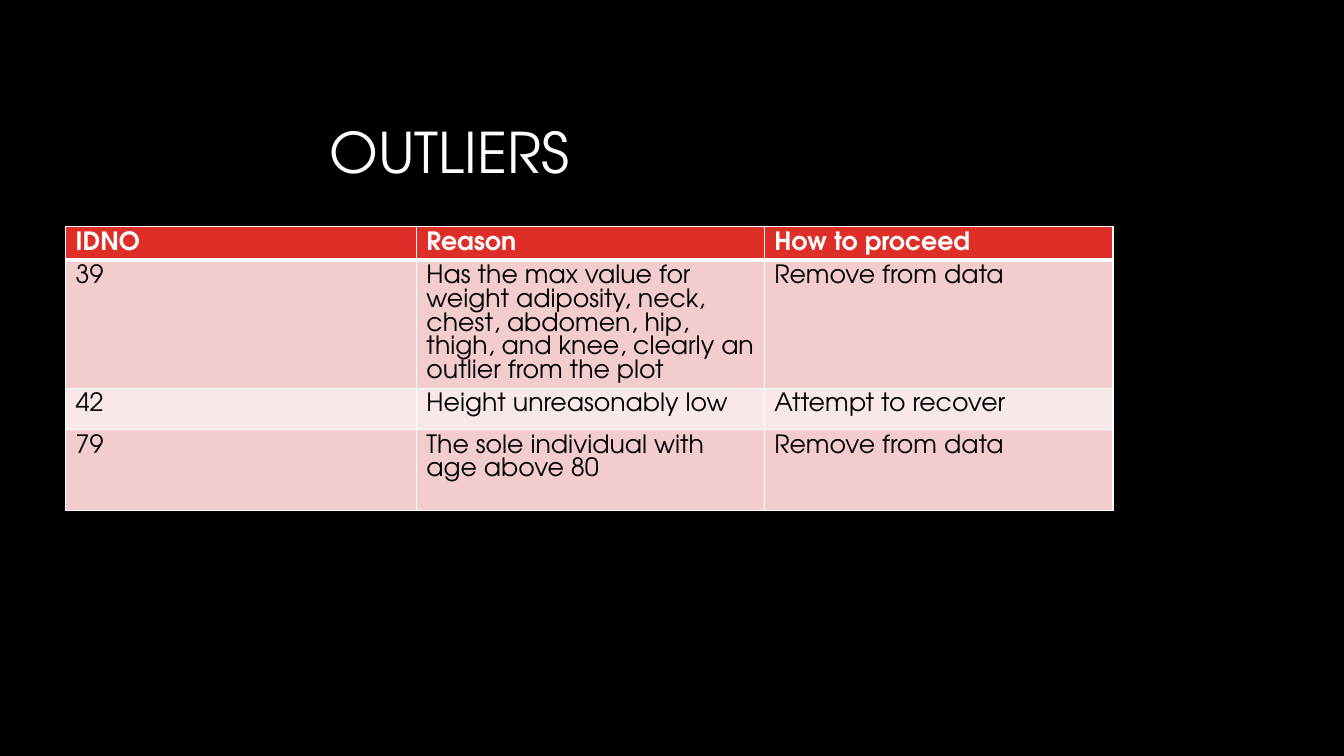
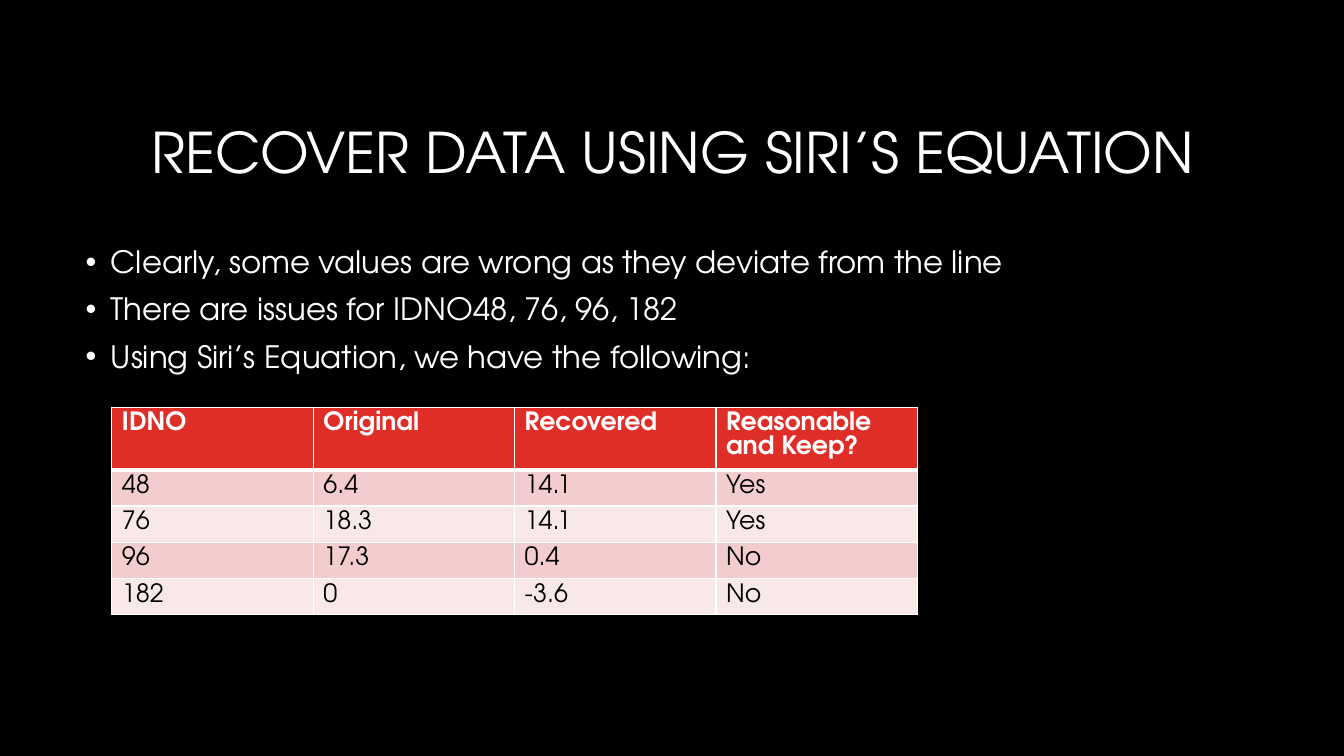
from lxml.etree import SubElement
from pptx import Presentation
from pptx.dml.color import RGBColor
from pptx.enum.text import MSO_ANCHOR, MSO_AUTO_SIZE, PP_ALIGN
from pptx.oxml.ns import qn
from pptx.util import Inches, Pt

COLORS = {
    "background": "000000",
    "text": "FFFFFF",
    "header": "DF2E28",
    "odd_row": "F3CDCD",
    "even_row": "F9E8E8",
    "cell_text": "000000",
    "border": "FFFFFF",
}
FONT = "TeX Gyre Adventor"
TITLE_ONLY, TITLE_AND_CONTENT = 5, 1


def color(name):
    return RGBColor.from_string(COLORS[name])


class Deck:
    def __init__(self):
        self.presentation = Presentation()
        self.presentation.slide_width = Inches(13.33)
        self.presentation.slide_height = Inches(7.5)
        fill = self.presentation.slide_master.background.fill
        fill.solid()
        fill.fore_color.rgb = color("background")
        self.page = None

    def add_page(self, layout):
        layouts = self.presentation.slide_layouts
        self.page = self.presentation.slides.add_slide(layouts[layout])

    def style(self, para, size, color_name, spacing, bold=False):
        para.line_spacing = spacing
        para.font.name = FONT
        para.font.size = Pt(size)
        para.font.bold = bold
        para.font.color.rgb = color(color_name)

    def place(self, box, left, top, width, height):
        box.left, box.top = Inches(left), Inches(top)
        box.width, box.height = Inches(width), Inches(height)
        box.text_frame.word_wrap = True
        box.text_frame.auto_size = MSO_AUTO_SIZE.NONE

    def title(self, text, left, width, align=PP_ALIGN.LEFT):
        box = self.page.shapes.title
        self.place(box, left, 0.84, width, 1.41)
        box.text_frame.vertical_anchor = MSO_ANCHOR.MIDDLE
        box.text_frame.text = text
        para = box.text_frame.paragraphs[0]
        para.alignment = align
        self.style(para, 40, "text", 0.9)

    def bullets(self, lines):
        box = self.page.placeholders[1]
        self.place(box, 0.75, 2.4, 11.83, 4.4)
        box.text_frame.text = "\n".join(lines)
        for para in box.text_frame.paragraphs:
            self.style(para, 22, "text", 0.9)
            para.space_before = Pt(10)
            properties = para._p.get_or_add_pPr()
            properties.set("marL", str(Inches(0.25)))
            properties.set("indent", str(Inches(-0.25)))

    def borders(self, cell, top, bottom):
        """Draw the four cell borders; top and bottom widths are in points."""
        properties = cell._tc.get_or_add_tcPr()
        sides = (("lnL", 1), ("lnR", 1), ("lnT", top), ("lnB", bottom))
        for position, (side, width) in enumerate(sides):
            line = SubElement(properties, qn(f"a:{side}"), w=str(Pt(width)))
            fill = SubElement(line, qn("a:solidFill"))
            SubElement(fill, qn("a:srgbClr"), val=COLORS["border"])
            properties.insert(position, line)

    def table(self, left, top, widths, heights, rows):
        frame = self.page.shapes.add_table(
            len(rows), len(widths), Inches(left), Inches(top),
            Inches(sum(widths)), Inches(sum(heights)))
        table = frame.table
        for column, width in zip(table.columns, widths):
            column.width = Inches(width)
        for index, (row, height, texts) in enumerate(zip(table.rows, heights, rows)):
            row.height = Inches(height)
            is_header = index == 0
            band = "header" if is_header else ("even_row", "odd_row")[index % 2]
            for cell, text in zip(row.cells, texts):
                cell.text = text
                cell.fill.solid()
                cell.fill.fore_color.rgb = color(band)
                self.style(cell.text_frame.paragraphs[0], 18,
                           "text" if is_header else "cell_text", 1.0, is_header)
                self.borders(cell, top=3 if index == 1 else 1,
                             bottom=3 if is_header else 1)


def outliers_page(deck):
    deck.add_page(TITLE_ONLY)
    deck.title("OUTLIERS", 3.17, 9.42)
    deck.table(0.65, 2.25, [3.48, 3.45, 3.46], [0.33, 1.27, 0.41, 0.8], [
        ("IDNO", "Reason", "How to proceed"),
        ("39", "Has the max value for weight adiposity, neck, chest, abdomen, "
               "hip, thigh, and knee, clearly an outlier from the plot",
         "Remove from data"),
        ("42", "Height unreasonably low", "Attempt to recover"),
        ("79", "The sole individual with age above 80", "Remove from data"),
    ])


def recovery_page(deck):
    deck.add_page(TITLE_AND_CONTENT)
    deck.title("RECOVER DATA USING SIRI’S EQUATION", 0.84, 11.67, PP_ALIGN.CENTER)
    deck.bullets([
        "Clearly, some values are wrong as they deviate from the line",
        "There are issues for IDNO48, 76, 96, 182",
        "Using Siri’s Equation, we have the following:",
    ])
    deck.table(1.11, 4.04, [7.99 / 4] * 4, [0.62] + [0.36] * 4, [
        ("IDNO", "Original", "Recovered", "Reasonable and Keep?"),
        ("48", "6.4", "14.1", "Yes"),
        ("76", "18.3", "14.1", "Yes"),
        ("96", "17.3", "0.4", "No"),
        ("182", "0", "-3.6", "No"),
    ])


def main():
    deck = Deck()
    outliers_page(deck)
    recovery_page(deck)
    deck.presentation.save("out.pptx")


if __name__ == "__main__":
    main()
